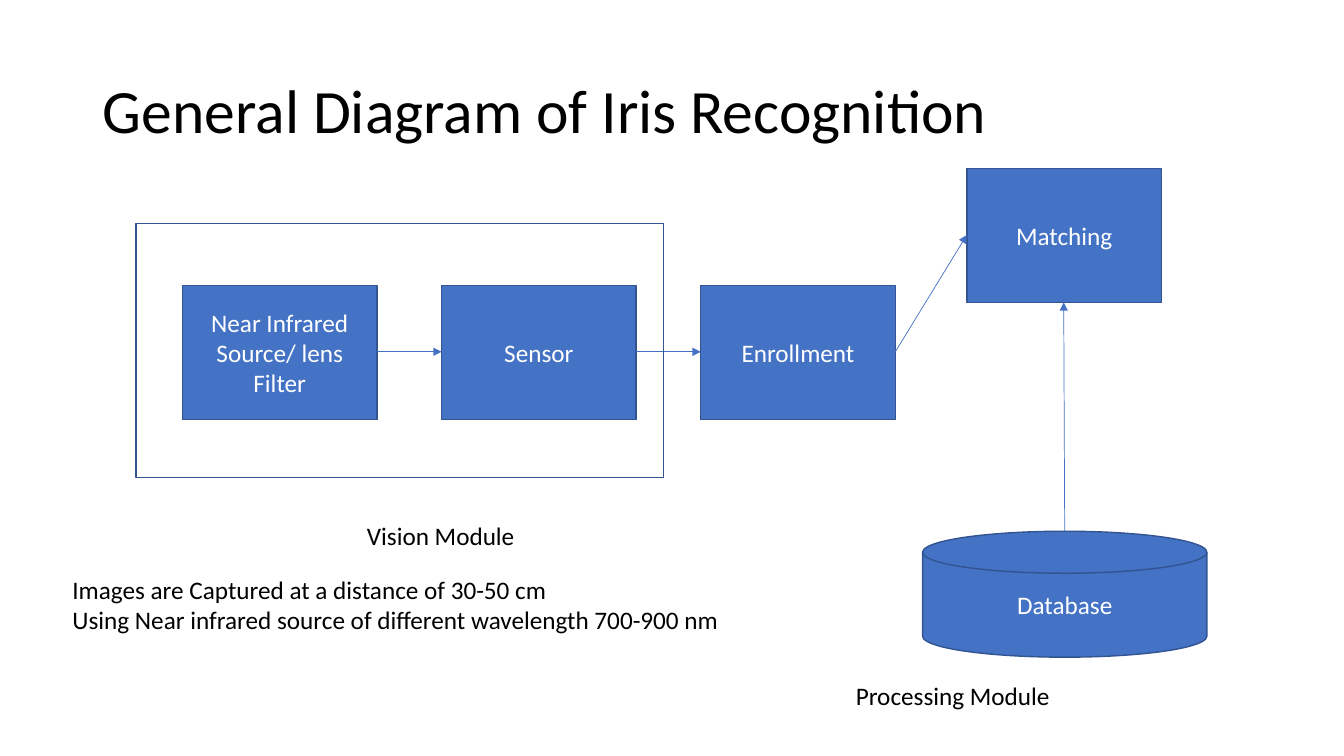
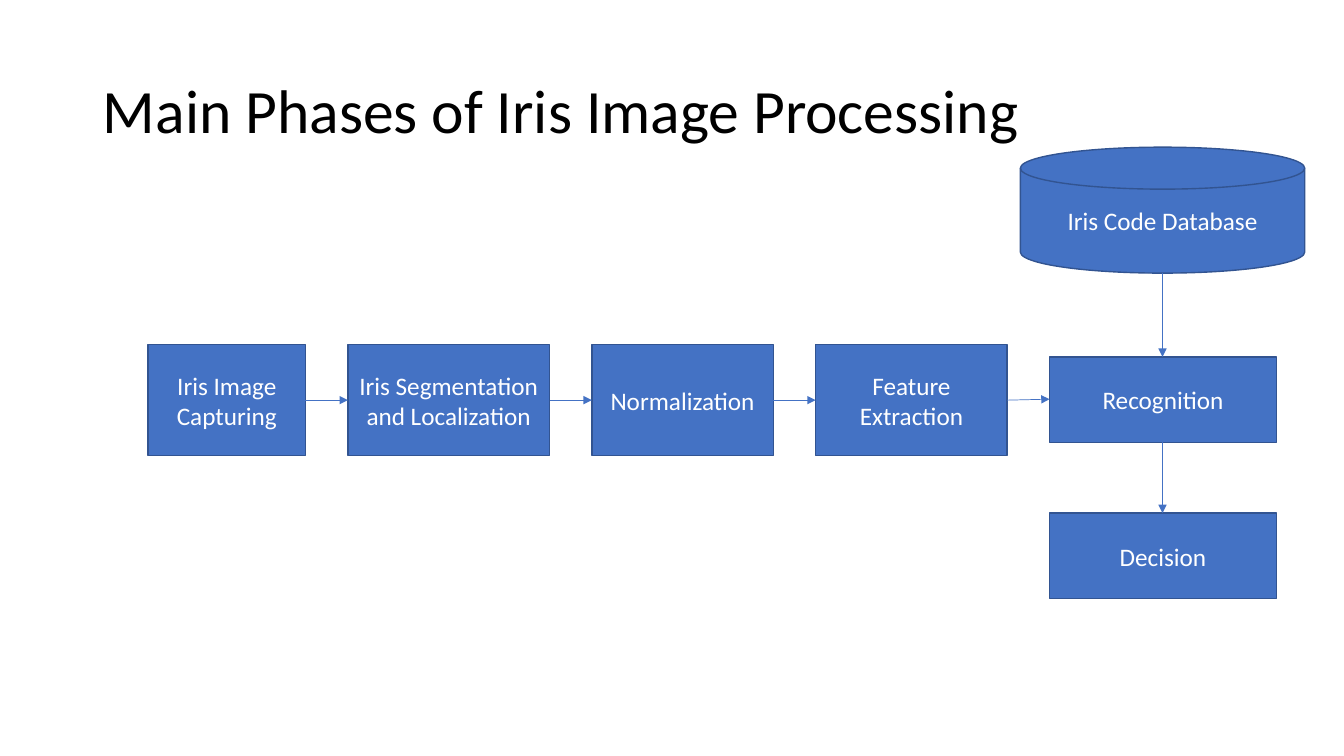
import dataclasses
import itertools
import typing

import lxml.etree
import pptx
import pptx.dml.color
import pptx.enum.shapes
import pptx.enum.text
import pptx.oxml
import pptx.oxml.ns
import pptx.util

EMU_PER_PX = 9144
FONT = "Calibri"
BODY_PT = 18
TITLE_PT = 44
COLORS = {"node": "4472C4", "border": "325491", "light": "FFFFFF", "dark": "000000"}

RECT = pptx.enum.shapes.MSO_SHAPE.RECTANGLE
DISK = pptx.enum.shapes.MSO_SHAPE.FLOWCHART_MAGNETIC_DISK
ALIGN = pptx.enum.text.PP_ALIGN
MIDDLE = pptx.enum.text.MSO_ANCHOR.MIDDLE
SITES = {
    RECT: {"top": 0, "left": 1, "bottom": 2, "right": 3},
    DISK: {"top": 1, "left": 2, "bottom": 3, "right": 4},
}


@dataclasses.dataclass(frozen=True)
class Box:
    left: int
    top: int
    width: int
    height: int

    def emu(self) -> list[pptx.util.Emu]:
        return [px(length) for length in (self.left, self.top, self.width, self.height)]

    def point(self, side: str) -> tuple[pptx.util.Emu, pptx.util.Emu]:
        center_x = self.left + self.width // 2
        center_y = self.top + self.height // 2
        x = {"left": self.left, "right": self.left + self.width}.get(side, center_x)
        y = {"top": self.top, "bottom": self.top + self.height}.get(side, center_y)
        return px(x), px(y)


@dataclasses.dataclass(frozen=True)
class Node:
    text: str
    box: Box
    preset: typing.Any = RECT


@dataclasses.dataclass(frozen=True)
class Arrow:
    source: Node
    source_side: str
    target: Node
    target_side: str


@dataclasses.dataclass(frozen=True)
class Caption:
    lines: tuple[str, ...]
    box: Box


TITLE_BOX = Box(92, 40, 1150, 145)


def px(length: int) -> pptx.util.Emu:
    return pptx.util.Emu(length * EMU_PER_PX)


def rgb(name: str) -> pptx.dml.color.RGBColor:
    return pptx.dml.color.RGBColor.from_string(COLORS[name])


def write(frame, lines: tuple[str, ...], size: int, color: str, align) -> None:
    for index, line in enumerate(lines):
        paragraph = frame.add_paragraph() if index else frame.paragraphs[0]
        paragraph.alignment = align
        run = paragraph.add_run()
        run.text = line
        run.font.name = FONT
        run.font.size = pptx.util.Pt(size)
        run.font.color.rgb = rgb(color)


def add_titled_slide(deck, title: str):
    slide = deck.slides.add_slide(deck.slide_layouts[5])
    heading = slide.shapes.title
    heading.left, heading.top, heading.width, heading.height = TITLE_BOX.emu()
    heading.text_frame.vertical_anchor = MIDDLE
    write(heading.text_frame, (title,), TITLE_PT, "dark", ALIGN.LEFT)
    heading.text_frame.paragraphs[0].line_spacing = 0.9
    return slide


def add_outlined(slide, box: Box, preset):
    shape = slide.shapes.add_shape(preset, *box.emu())
    shape.shadow.inherit = False
    shape.line.color.rgb = rgb("border")
    shape.line.width = pptx.util.Pt(1)
    return shape


def add_node(slide, node: Node):
    shape = add_outlined(slide, node.box, node.preset)
    shape.fill.solid()
    shape.fill.fore_color.rgb = rgb("node")
    shape.text_frame.word_wrap = True
    shape.text_frame.vertical_anchor = MIDDLE
    write(shape.text_frame, (node.text,), BODY_PT, "light", ALIGN.CENTER)
    return shape


def add_frame(slide, box: Box) -> None:
    add_outlined(slide, box, RECT).fill.background()


def add_arrow(slide, arrow: Arrow, drawn: dict) -> None:
    begin = arrow.source.box.point(arrow.source_side)
    end = arrow.target.box.point(arrow.target_side)
    straight = pptx.enum.shapes.MSO_CONNECTOR.STRAIGHT
    connector = slide.shapes.add_connector(straight, *begin, *end)
    connector.begin_connect(drawn[arrow.source], SITES[arrow.source.preset][arrow.source_side])
    connector.end_connect(drawn[arrow.target], SITES[arrow.target.preset][arrow.target_side])
    connector.begin_x, connector.begin_y = begin
    connector.end_x, connector.end_y = end
    connector.line.color.rgb = rgb("node")
    connector.line.width = pptx.util.Pt(0.5)
    qn = pptx.oxml.ns.qn
    line = connector.line._get_or_add_ln()
    lxml.etree.SubElement(line, qn("a:tailEnd"), type="triangle")
    lxml.etree.SubElement(connector._element.spPr, qn("a:effectLst"))


def add_flow(slide, nodes: list[Node], arrows: list[Arrow]) -> None:
    drawn = {node: add_node(slide, node) for node in nodes}
    for arrow in arrows:
        add_arrow(slide, arrow, drawn)


def add_caption(slide, caption: Caption) -> None:
    frame = slide.shapes.add_textbox(*caption.box.emu()).text_frame
    frame.word_wrap = False
    frame.auto_size = pptx.enum.text.MSO_AUTO_SIZE.SHAPE_TO_FIT_TEXT
    write(frame, caption.lines, BODY_PT, "dark", ALIGN.LEFT)


def lay_row(labels: list[str], widths: list[int], left: int, top: int, height: int, gap: int) -> list[Node]:
    lefts = itertools.accumulate((width + gap for width in widths), initial=left)
    return [Node(text, Box(x, top, width, height)) for text, width, x in zip(labels, widths, lefts)]


def chain(nodes: list[Node]) -> list[Arrow]:
    return [Arrow(a, "right", b, "left") for a, b in itertools.pairwise(nodes)]


def build_general_diagram(deck) -> None:
    slide = add_titled_slide(deck, "General Diagram of Iris Recognition")
    stages = lay_row(
        ["Near Infrared Source/ lens Filter", "Sensor", "Enrollment"],
        [193] * 3, left=181, top=283, height=133, gap=64,
    )
    matching = Node("Matching", Box(959, 167, 193, 133))
    database = Node("Database", Box(915, 527, 282, 125), DISK)
    add_flow(
        slide,
        [*stages, matching, database],
        [*chain([*stages, matching]), Arrow(database, "top", matching, "bottom")],
    )
    add_frame(slide, Box(135, 222, 523, 252))
    captions = (
        Caption(("Vision Module",), Box(354, 511, 168, 40)),
        Caption(("Processing Module",), Box(839, 670, 215, 40)),
        Caption(
            (
                "Images are Captured at a distance of 30-50 cm",
                "Using Near infrared source of different wavelength 700-900 nm",
            ),
            Box(62, 565, 669, 71),
        ),
    )
    for caption in captions:
        add_caption(slide, caption)


def build_main_phases(deck) -> None:
    slide = add_titled_slide(deck, "Main Phases of Iris Image Processing")
    phases = lay_row(
        [
            "Iris Image Capturing",
            "Iris Segmentation and Localization",
            "Normalization",
            "Feature Extraction",
        ],
        [156, 200, 180, 190], left=147, top=342, height=110, gap=42,
    )
    recognition = Node("Recognition", Box(1041, 354, 225, 85))
    decision = Node("Decision", Box(1041, 509, 225, 85))
    database = Node("Iris Code Database", Box(1012, 146, 282, 125), DISK)
    add_flow(
        slide,
        [*phases, recognition, decision, database],
        [
            *chain([*phases, recognition]),
            Arrow(database, "bottom", recognition, "top"),
            Arrow(recognition, "bottom", decision, "top"),
        ],
    )


def main() -> None:
    deck = pptx.Presentation()
    deck.slide_width, deck.slide_height = px(1333), px(750)
    build_general_diagram(deck)
    build_main_phases(deck)
    deck.save("out.pptx")


if __name__ == "__main__":
    main()
